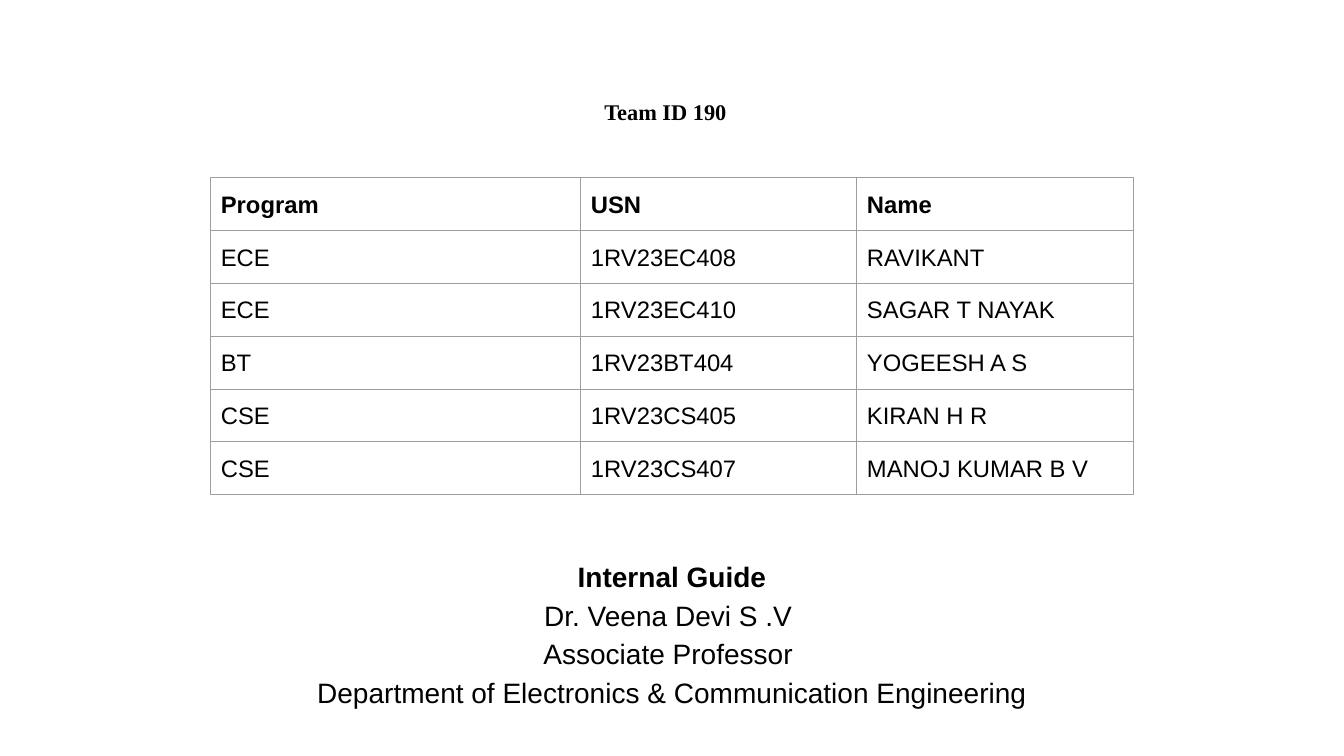
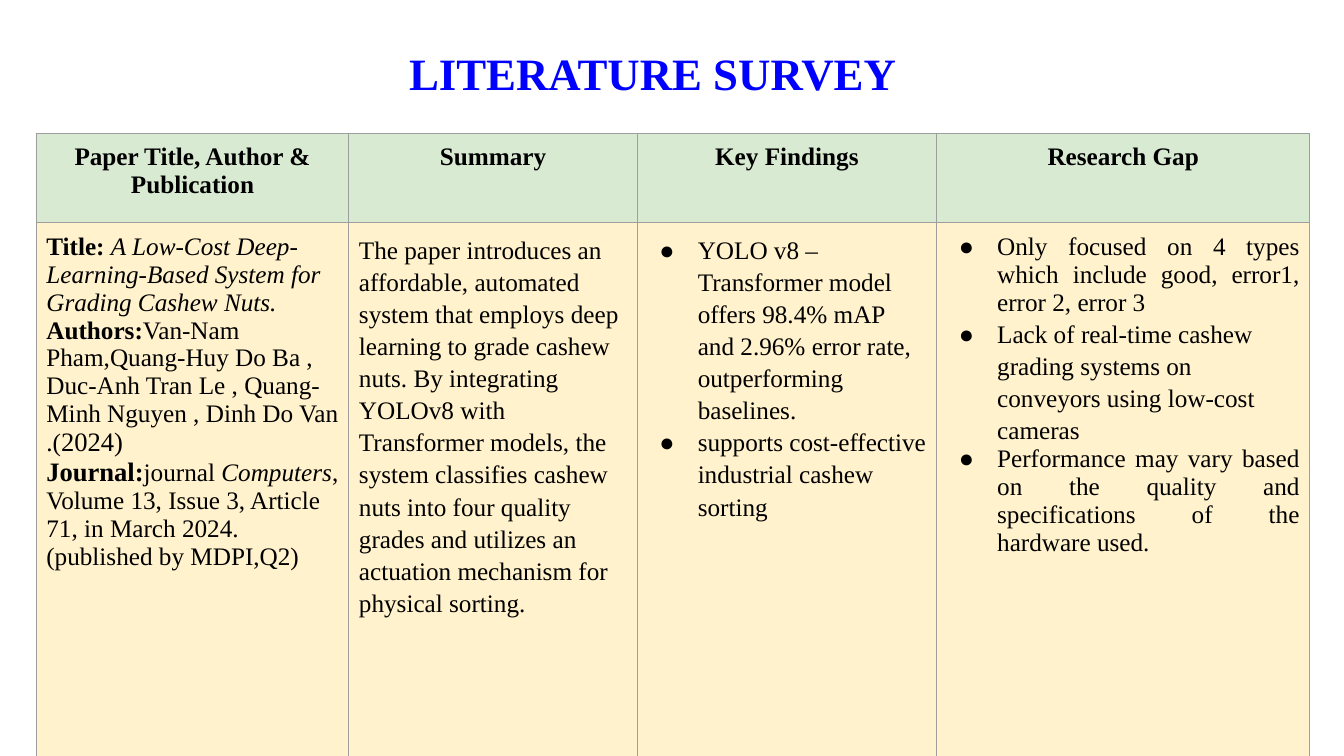
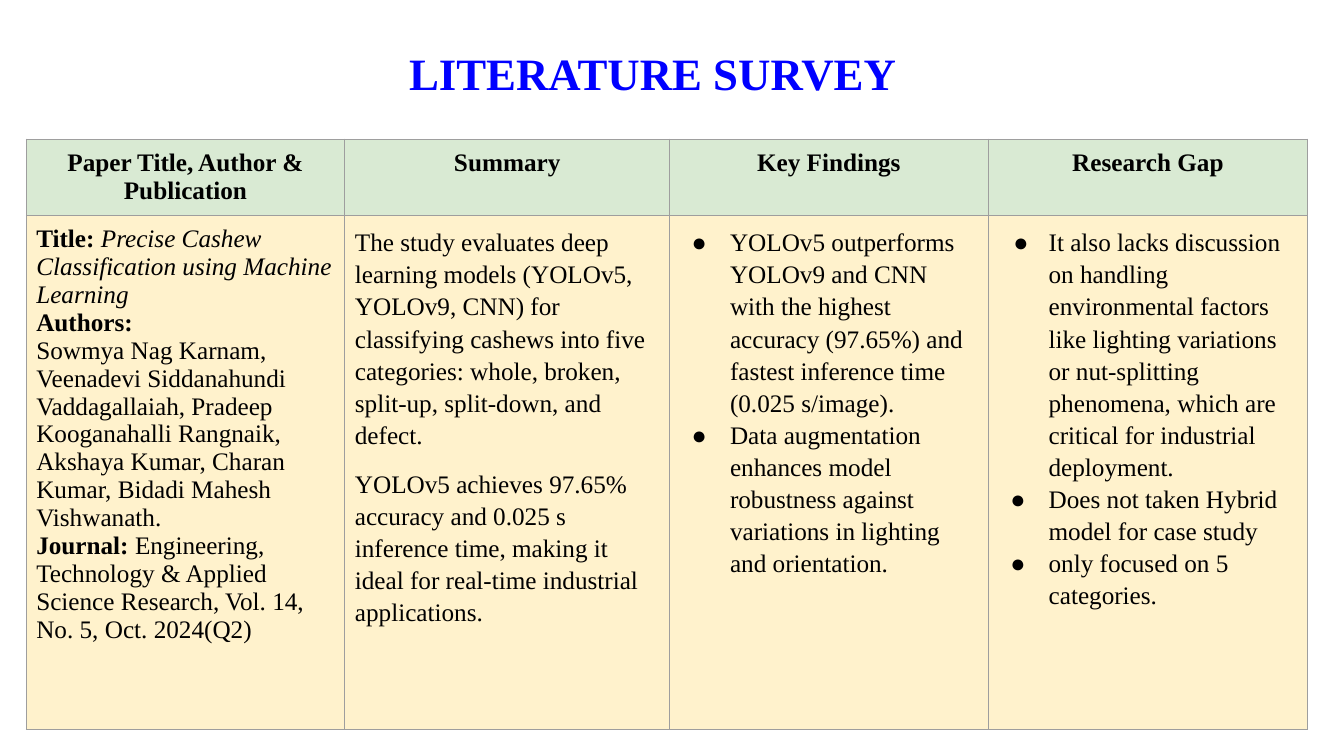
from lxml.etree import SubElement
from pptx import Presentation
from pptx.dml.color import RGBColor
from pptx.enum.text import MSO_ANCHOR, MSO_AUTO_SIZE, PP_ALIGN
from pptx.oxml.ns import qn
from pptx.util import Inches, Pt

BLACK = RGBColor(0x00, 0x00, 0x00)
BLUE = RGBColor(0x00, 0x00, 0xFF)
GREY = RGBColor(0x9E, 0x9E, 0x9E)
GREEN = RGBColor(0xD9, 0xEA, 0xD3)
CREAM = RGBColor(0xFF, 0xF2, 0xCC)

SANS = "Arial"
SERIF = "Times New Roman"
INSET = Inches(0.1)
LOOSE = 1.15

BOLD = {"bold": True}
ITALIC = {"italic": True}


def write(frame, text, font=SERIF, size=18, color=BLACK, bold=False, italic=False,
          align=PP_ALIGN.LEFT, spacing=1.0, before=0, hang=0):
    """Add a paragraph; text is a string or a list of (string, format) spans."""
    para = frame.paragraphs[0]
    if para.runs:
        para = frame.add_paragraph()
    if hang:
        properties = para._p.get_or_add_pPr()
        properties.set("marL", str(Inches(0.5)))
        properties.set("indent", str(-Inches(hang)))
        tint = SubElement(properties, qn("a:buClr"))
        SubElement(tint, qn("a:srgbClr"), val=str(color))
        SubElement(properties, qn("a:buFont"), typeface=font)
        SubElement(properties, qn("a:buChar"), char="●")
    para.alignment = align
    para.line_spacing = spacing
    para.space_before = Pt(before)
    spans = [(text, {})] if isinstance(text, str) else text
    for words, changes in spans:
        look = {"size": size, "bold": bold, "italic": italic} | changes
        span = para.add_run()
        span.text = words
        span.font.name = font
        span.font.size = Pt(look["size"])
        span.font.bold = look["bold"]
        span.font.italic = look["italic"]
        span.font.color.rgb = color


def loose(text, **look):
    return {"text": text, "spacing": LOOSE} | look


def bullet(text, **look):
    return loose(text, hang=0.38) | look


class Slides:
    """Deck style and current page; lengths are percent of the page's sides."""

    def __init__(self):
        self.deck = Presentation()
        self.deck.slide_width = Inches(13.33)
        self.deck.slide_height = Inches(7.5)
        self.page = None

    def across(self, share):
        return round(self.deck.slide_width * share / 100)

    def down(self, share):
        return round(self.deck.slide_height * share / 100)

    def place(self, left, top, width, height):
        return self.across(left), self.down(top), self.across(width), self.down(height)

    def frame(self, box, anchor, inset=INSET):
        frame = box.text_frame
        frame.word_wrap = True
        frame.auto_size = MSO_AUTO_SIZE.NONE
        frame.vertical_anchor = anchor
        frame.margin_left = frame.margin_right = INSET
        frame.margin_top = frame.margin_bottom = inset
        return frame

    def add_page(self, title, spot=(21.15, 5.33, 54.84, 8.53), size=32, color=BLUE):
        self.page = self.deck.slides.add_slide(self.deck.slide_layouts[5])
        box = self.page.shapes.title
        box.left, box.top, box.width, box.height = self.place(*spot)
        frame = self.frame(box, MSO_ANCHOR.MIDDLE, Inches(0.05))
        write(frame, title, size=size, color=color, bold=True, align=PP_ALIGN.CENTER)

    def add_text(self, spot, paras):
        box = self.page.shapes.add_textbox(*self.place(*spot))
        frame = self.frame(box, MSO_ANCHOR.TOP)
        for para in paras:
            write(frame, **para)

    def add_table(self, left, top, columns, heights, cells, fills):
        """Each cell is a list of paragraphs; fills has one colour per row."""
        spot = self.place(left, top, sum(columns), sum(heights))
        table = self.page.shapes.add_table(len(heights), len(columns), *spot).table
        table.first_row = table.horz_banding = False
        for column, share in zip(table.columns, columns):
            column.width = self.across(share)
        for row, share, contents, fill in zip(table.rows, heights, cells, fills):
            row.height = self.down(share)
            for cell, paras in zip(row.cells, contents):
                self.style_cell(cell, fill)
                for para in paras:
                    write(cell.text_frame, **para)

    def style_cell(self, cell, fill):
        cell.margin_left = cell.margin_right = INSET
        cell.margin_top = cell.margin_bottom = INSET
        properties = cell._tc.get_or_add_tcPr()
        for side in "LRTB":
            line = SubElement(properties, qn(f"a:ln{side}"), w=str(Pt(0.75)))
            paint = SubElement(line, qn("a:solidFill"))
            SubElement(paint, qn("a:srgbClr"), val=str(GREY))
        if fill is None:
            cell.fill.background()
        else:
            cell.fill.solid()
            cell.fill.fore_color.rgb = fill

    def add_survey(self, left, top, columns, heights, findings):
        headings = ("Paper Title, Author & Publication", "Summary",
                    "Key Findings", "Research Gap")
        header = [[{"text": heading, "bold": True, "align": PP_ALIGN.CENTER}]
                  for heading in headings]
        self.add_page("LITERATURE SURVEY")
        self.add_table(left, top, columns, heights, [header, findings], [GREEN, CREAM])


def build_team(slides):
    slides.add_page("Team ID 190", (37.21, 11.6, 24.6, 6.27), size=16, color=BLACK)

    # Members
    members = (
        ("Program", "USN", "Name"),
        ("ECE", "1RV23EC408", "RAVIKANT"),
        ("ECE", "1RV23EC410", "SAGAR T NAYAK"),
        ("BT", "1RV23BT404", "YOGEESH A S"),
        ("CSE", "1RV23CS405", "KIRAN H R"),
        ("CSE", "1RV23CS407", "MANOJ KUMAR B V"),
    )
    cells = [[[loose(text, font=SANS, size=17, bold=index == 0)] for text in member]
             for index, member in enumerate(members)]
    count = len(members)
    slides.add_table(15.68, 23.47, (27.53, 20.55, 20.55), [7] * count, cells,
                     [None] * count)

    # Guide
    guide = ("Internal Guide", "Dr. Veena Devi S .V ", "Associate Professor ",
             "Department of Electronics & Communication Engineering")
    slides.add_text((17.93, 72, 64.14, 22.67), [
        loose(text, font=SANS, size=20, bold=index == 0, align=PP_ALIGN.CENTER)
        for index, text in enumerate(guide)])


def build_grading_paper(slides):
    paper = [
        {"text": [("Title: ", BOLD),
                  ("A Low-Cost Deep-Learning-Based System for Grading Cashew Nuts.",
                   ITALIC)]},
        {"text": [("Authors:", BOLD),
                  ("Van-Nam Pham,Quang-Huy Do Ba , Duc-Anh Tran Le , "
                   "Quang-Minh Nguyen , Dinh Do Van .(", {}),
                  ("2024)", {"size": 19})]},
        {"text": [("Journal:", {"bold": True, "size": 19}),
                  ("journal ", {}),
                  ("Computers", ITALIC),
                  (", Volume 13, Issue 3, Article 71, in March 2024."
                   "(published by MDPI,Q2)", {})]},
    ]
    summary = [loose(
        "The paper introduces an affordable, automated system that employs deep "
        "learning to grade cashew nuts. By integrating YOLOv8 with Transformer "
        "models, the system classifies cashew nuts into four quality grades and "
        "utilizes an actuation mechanism for physical sorting.")]
    results = [
        bullet("YOLO v8 –Transformer model offers 98.4% mAP and 2.96% error rate, "
               "outperforming baselines."),
        bullet("supports cost-effective industrial cashew sorting"),
    ]
    tight = {"spacing": 1.0, "align": PP_ALIGN.JUSTIFY}
    gaps = [
        bullet("Only focused on 4 types which include good, error1, error 2, error 3",
               **tight),
        bullet("Lack of real-time cashew grading systems on conveyors using "
               "low-cost cameras"),
        bullet("Performance may vary based on the quality and specifications of "
               "the hardware used.", **tight),
    ]
    slides.add_survey(2.7, 17.6, (23.26, 21.46, 22.28, 27.76), (11.87, 70.53),
                      [paper, summary, results, gaps])


def build_classification_paper(slides):
    paper = [
        {"text": [("Title: ", BOLD),
                  ("Precise Cashew Classification using Machine Learning", ITALIC)]},
        {"text": "Authors:", "bold": True},
        {"text": "Sowmya Nag Karnam, Veenadevi Siddanahundi Vaddagallaiah, Pradeep "
                 "Kooganahalli Rangnaik, Akshaya Kumar, Charan Kumar, Bidadi Mahesh "
                 "Vishwanath."},
        {"text": [("Journal: ", BOLD),
                  ("Engineering, Technology & Applied Science Research, Vol. 14, "
                   "No. 5, Oct. 2024(Q2)", {})]},
    ]
    summary = [
        loose("The study evaluates deep learning models (YOLOv5, YOLOv9, CNN) for "
              "classifying cashews into five categories: whole, broken, split-up, "
              "split-down, and defect."),
        loose("YOLOv5 achieves 97.65% accuracy and 0.025 s inference time, making it "
              "ideal for real-time industrial applications.", before=12),
    ]
    results = [
        bullet("YOLOv5 outperforms YOLOv9 and CNN with the highest accuracy (97.65%) "
               "and fastest inference time (0.025 s/image)."),
        bullet("Data augmentation enhances model robustness against variations in "
               "lighting and orientation."),
    ]
    gaps = [
        bullet("It also lacks discussion on handling environmental factors like "
               "lighting variations or nut-splitting phenomena, which are critical "
               "for industrial deployment.", hang=0.35),
        bullet("Does not taken Hybrid model for case study"),
        bullet("only focused on 5 categories."),
    ]
    slides.add_survey(1.95, 18.4, (23.71, 24.16, 23.71, 23.78), (10, 68),
                      [paper, summary, results, gaps])


def main():
    slides = Slides()
    build_team(slides)
    build_grading_paper(slides)
    build_classification_paper(slides)
    slides.deck.save("out.pptx")


if __name__ == "__main__":
    main()
